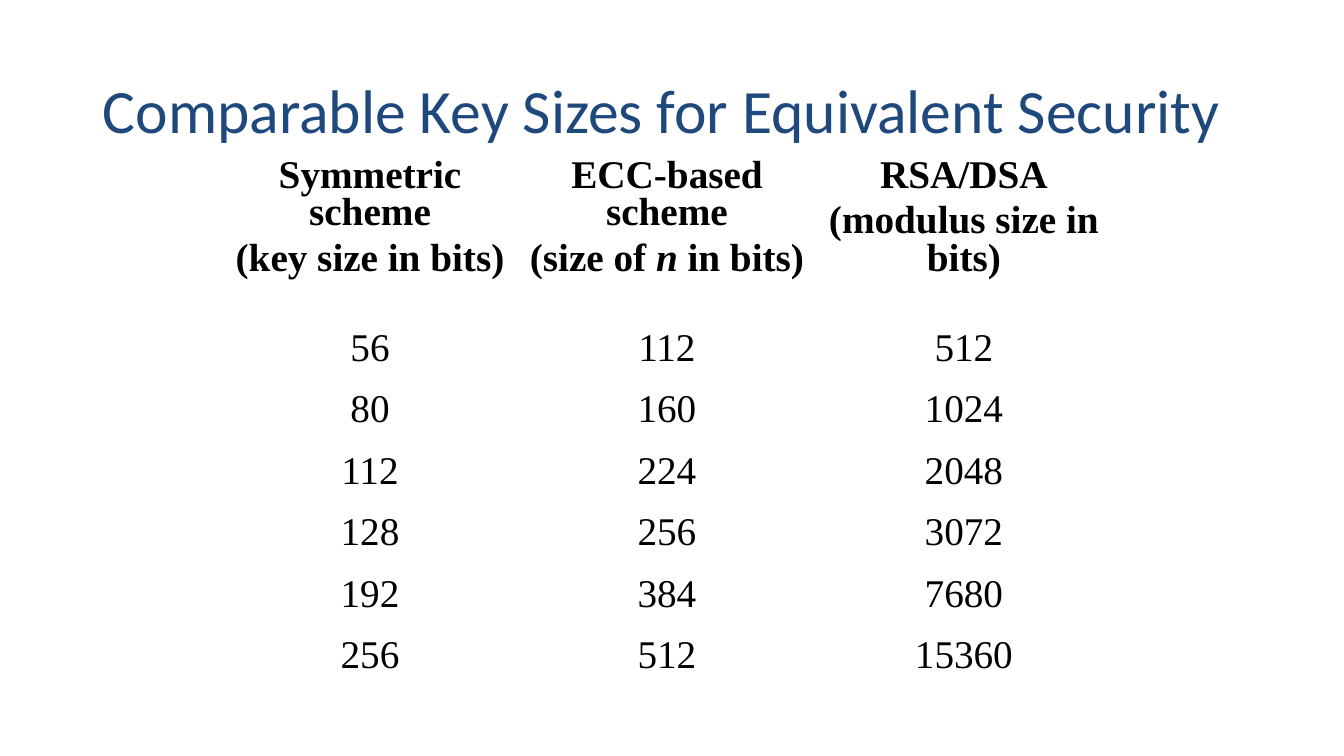
from pptx import Presentation
from pptx.dml.color import RGBColor
from pptx.enum.text import MSO_ANCHOR, MSO_AUTO_SIZE, PP_ALIGN
from pptx.util import Inches, Pt

LEFT, CENTER = PP_ALIGN.LEFT, PP_ALIGN.CENTER
MIDDLE, TOP = MSO_ANCHOR.MIDDLE, MSO_ANCHOR.TOP
NO_AUTOFIT = MSO_AUTO_SIZE.NONE

COLORS = {"title": "1F497D", "text": "000000"}
TITLE = "Comparable Key Sizes for Equivalent Security"

# A cell is a list of paragraphs; a paragraph is a list of (text, italic) runs.
HEADERS = [
    [[("Symmetric scheme", False)], [("(key size in bits)", False)]],
    [[("ECC-based scheme", False)],
     [("(size of ", False), ("n", True), (" in bits)", False)]],
    [[("RSA/DSA", False)], [("(modulus size in bits)", False)]],
]
KEY_SIZES = [
    (56, 112, 512),
    (80, 160, 1024),
    (112, 224, 2048),
    (128, 256, 3072),
    (192, 384, 7680),
    (256, 512, 15360),
]
COL_WIDTHS = [2.94, 2.95, 2.94]
ROW_HEIGHTS = [1.72] + [0.61] * len(KEY_SIZES)


def add_run(p, text, font, size, color, bold=False, italic=False):
    r = p.add_run()
    r.text = text
    r.font.name = font
    r.font.size = Pt(size)
    r.font.bold = bold
    r.font.italic = italic
    r.font.color.rgb = RGBColor.from_string(COLORS[color])


def fill_cell(cell, paragraphs, bold):
    cell.fill.background()
    cell.vertical_anchor = TOP
    cell.margin_left = cell.margin_right = Inches(0.1)
    cell.margin_top, cell.margin_bottom = Inches(0.13), Inches(0.05)
    tf = cell.text_frame
    for i, runs in enumerate(paragraphs):
        p = tf.add_paragraph() if i else tf.paragraphs[0]
        p.alignment = CENTER
        p.line_spacing = 0.86
        p.space_before = p.space_after = Pt(3)
        for text, italic in runs:
            add_run(p, text, "Times New Roman", 28, "text", bold, italic)


def add_title(s):
    title = s.shapes.title
    title.left, title.top = Inches(0.92), Inches(0.4)
    title.width, title.height = Inches(11.5), Inches(1.45)
    tf = title.text_frame
    tf.word_wrap = True
    tf.auto_size = NO_AUTOFIT
    tf.vertical_anchor = MIDDLE
    p = tf.paragraphs[0]
    p.alignment = LEFT
    p.line_spacing = 0.9
    add_run(p, TITLE, "Calibri", 44, "title")


def add_key_table(s):
    rows = HEADERS, *[[[[(str(n), False)]] for n in sizes] for sizes in KEY_SIZES]
    table = s.shapes.add_table(
        len(rows), len(COL_WIDTHS), Inches(2.2), Inches(1.44),
        Inches(sum(COL_WIDTHS)), Inches(sum(ROW_HEIGHTS))).table
    table.first_row = table.horz_banding = False
    for col, width in zip(table.columns, COL_WIDTHS):
        col.width = Inches(width)
    for i, (row, height) in enumerate(zip(table.rows, ROW_HEIGHTS)):
        row.height = Inches(height)
        for cell, paragraphs in zip(row.cells, rows[i]):
            fill_cell(cell, paragraphs, bold=i == 0)


def main():
    prs = Presentation()
    prs.slide_width, prs.slide_height = Inches(13.33), Inches(7.5)
    s = prs.slides.add_slide(prs.slide_layouts[5])
    add_title(s)
    add_key_table(s)
    prs.save("out.pptx")


if __name__ == "__main__":
    main()
